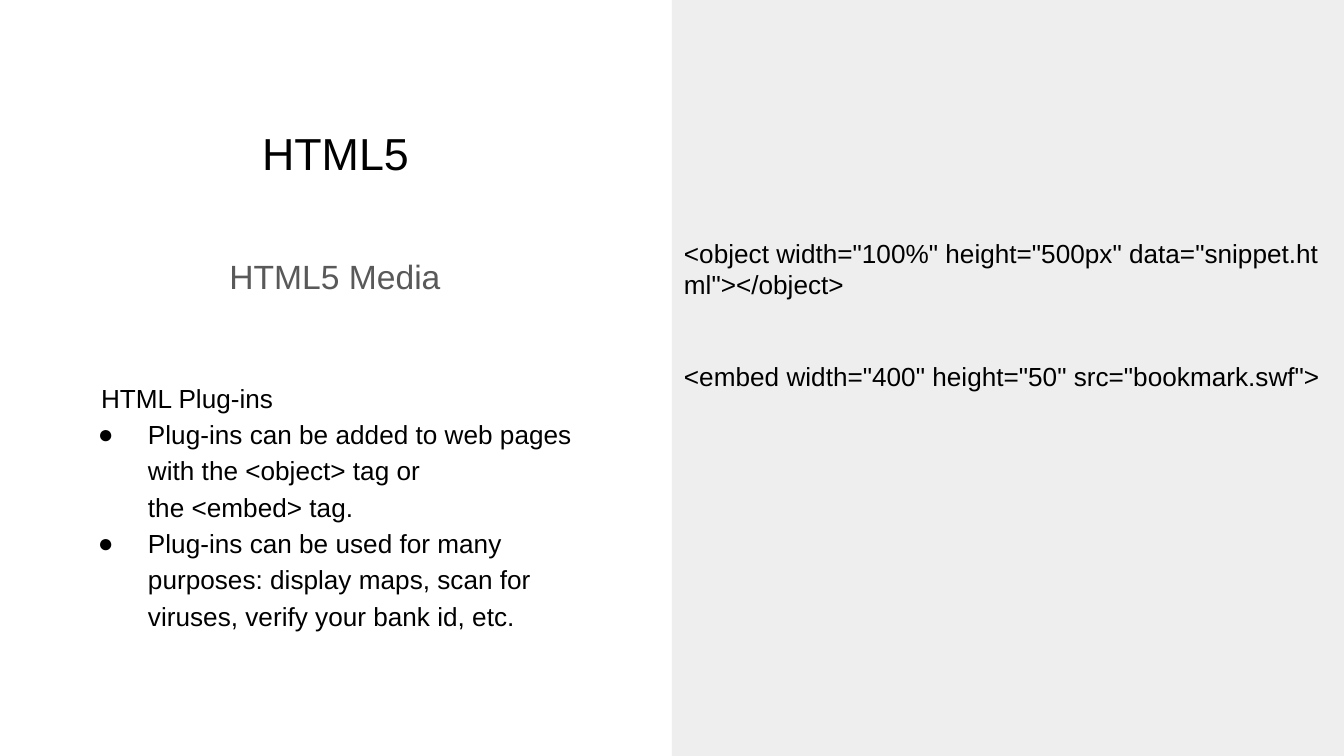
from lxml.etree import SubElement
from pptx import Presentation
from pptx.dml.color import RGBColor
from pptx.enum.shapes import MSO_SHAPE
from pptx.enum.text import MSO_ANCHOR, PP_ALIGN
from pptx.oxml.ns import qn
from pptx.util import Emu, Pt

SCALE = 914400 * 10 / 1344
COLORS = {"text": "000000", "subtitle": "595959", "panel": "EEEEEE"}


def px(length):
    return Emu(round(length * SCALE))


class SlideBuilder:
    font = "Arial"

    def __init__(self, deck):
        self.slide = deck.slides.add_slide(deck.slide_layouts[5])

    def color(self, name):
        return RGBColor.from_string(COLORS[name])

    def panel(self, left, top, width, height):
        panel = self.slide.shapes.add_shape(
            MSO_SHAPE.RECTANGLE, *map(px, (left, top, width, height)))
        panel.shadow.inherit = False
        panel.fill.solid()
        panel.fill.fore_color.rgb = self.color("panel")
        panel.line.fill.background()

    def frame(self, shape, top_inset, anchor=MSO_ANCHOR.TOP):
        frame = shape.text_frame
        frame.word_wrap = True
        frame.vertical_anchor = anchor
        frame.margin_left = frame.margin_right = frame.margin_bottom = 0
        frame.margin_top = px(top_inset)
        return frame

    def style(self, paragraph, text, size, color="text", align=PP_ALIGN.LEFT,
              before=1, spacing=None, indent=1, hanging=0):
        paragraph.text = text
        paragraph.alignment = align
        paragraph.space_before = Pt(before)
        paragraph.line_spacing = spacing
        paragraph.font.name = self.font
        paragraph.font.size = Pt(size)
        paragraph.font.color.rgb = self.color(color)
        properties = paragraph._p.get_or_add_pPr()
        properties.set("marL", str(px(indent)))
        properties.set("indent", str(-px(hanging)))
        if hanging:
            SubElement(properties, qn("a:buFont"), typeface=self.font)
            SubElement(properties, qn("a:buChar"), char="●")

    def title(self, box, text):
        title = self.slide.shapes.title
        title.left, title.top, title.width, title.height = map(px, box)
        frame = self.frame(title, 1, MSO_ANCHOR.MIDDLE)
        self.style(frame.paragraphs[0], text, 24, align=PP_ALIGN.CENTER)

    def text(self, box, paragraphs, top_inset=2):
        shape = self.slide.shapes.add_textbox(*map(px, box))
        frame = self.frame(shape, top_inset)
        for index, (text, options) in enumerate(paragraphs):
            paragraph = frame.add_paragraph() if index else frame.paragraphs[0]
            self.style(paragraph, text, **options)


def main():
    deck = Presentation()
    deck.slide_width, deck.slide_height = px(1344), px(756)
    builder = SlideBuilder(deck)
    builder.panel(672, 0, 672, 756)
    builder.title((38, 105, 594, 94), "HTML5")
    builder.text((227, 254, 215, 43), [
        ("HTML5 Media", dict(size=18, color="subtitle", align=PP_ALIGN.CENTER))])

    body = dict(size=14, indent=51)
    bullet = dict(body, before=0, spacing=1.16, hanging=50)
    builder.text((97, 375, 480, 259), [
        ("HTML Plug-ins", dict(size=14, before=3.7, indent=4)),
        ("Plug-ins can be added to web pages with the <object> tag or", bullet),
        ("the <embed> tag.", dict(body, before=2.7)),
        ("Plug-ins can be used for many purposes: display maps, scan for "
         "viruses, verify your bank id, etc.", bullet)], top_inset=7)

    builder.text((683, 234, 641, 67), [
        ('<object width="100%" height="500px" data="snippet.ht ml"></object>',
         dict(size=14, before=1.8, spacing=Pt(16.5)))], top_inset=4)
    builder.text((683, 358, 645, 34), [
        ('<embed width="400" height="50" src="bookmark.swf">', dict(size=14))])
    deck.save("out.pptx")


if __name__ == "__main__":
    main()
